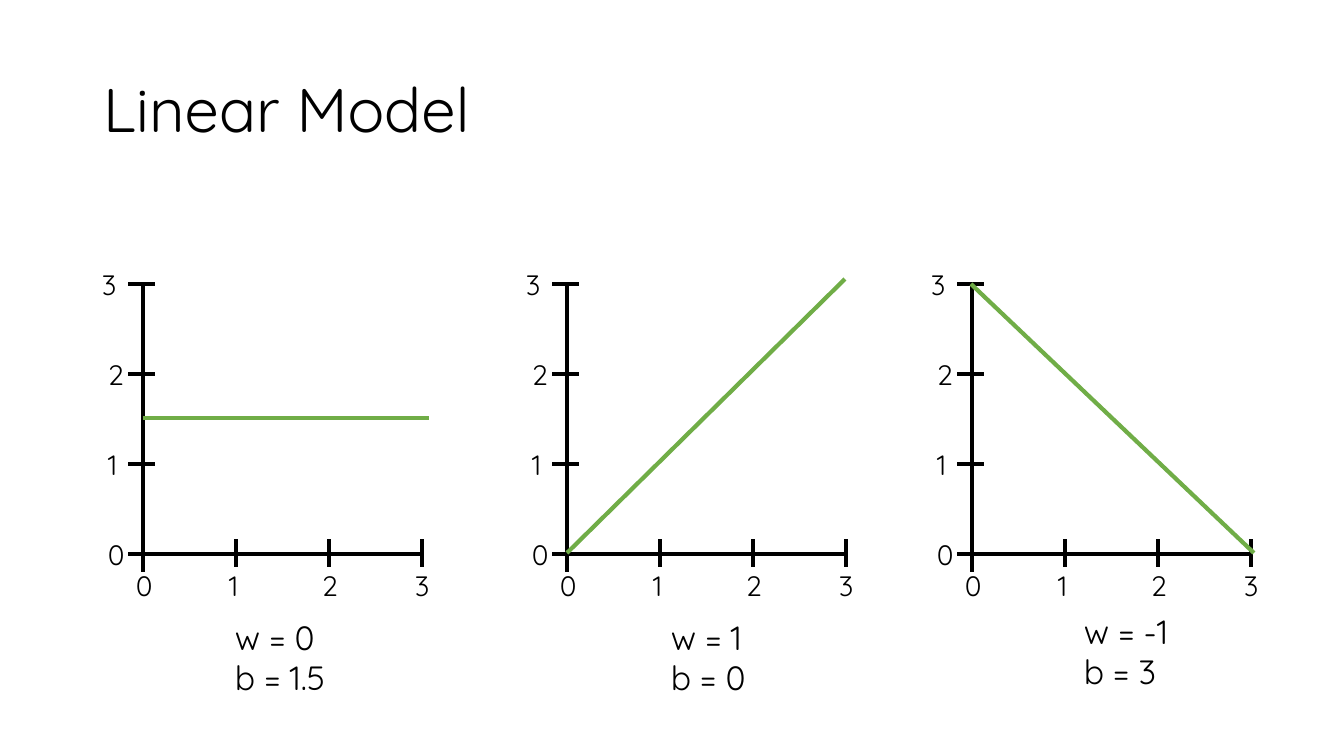
import lxml.etree
import pptx
import pptx.dml.color
import pptx.enum.shapes
import pptx.enum.text
import pptx.oxml.ns
import pptx.util

PX = 12700 * 5 / 7  # EMU in one px
COLORS = {"ink": "000000", "model": "70AD47"}
FONT = "Quicksand"
AXIS_TOP, AXIS_Y = 284, 554
STEP_X, STEP_Y = 93, 90
Y_LABEL_SHIFTS = (-45, -45, -45, -51)

# axis x, model line ends, caption box, caption lines
PLOTS = (
    (143, (143, 418, 429, 418), (225, 612, 133, 92), ("w = 0", "b = 1.5")),
    (567, (567, 553, 845, 279), (661, 612, 110, 92), ("w = 1", "b = 0")),
    (972, (971, 284, 1254, 553), (1074, 606, 117, 92), ("w = -1", "b = 3")),
)


def emu(*lengths):
    return [round(length * PX) for length in lengths]


def rgb(name):
    return pptx.dml.color.RGBColor.from_string(COLORS[name])


def set_values(target, values):
    for name, value in values.items():
        setattr(target, name, value)


def write_lines(frame, lines, size, **para_format):
    for index, text in enumerate(lines):
        para = frame.add_paragraph() if index else frame.paragraphs[0]
        para.text = text
        set_values(para, para_format)
        set_values(para.font, {"name": FONT, "size": pptx.util.Pt(size)})
        para.font.color.rgb = rgb("ink")


def add_label(shapes, place, lines, size):
    frame = shapes.add_textbox(*emu(*place)).text_frame
    write_lines(frame, lines, size)
    set_values(frame, {
        "word_wrap": False,
        "auto_size": pptx.enum.text.MSO_AUTO_SIZE.SHAPE_TO_FIT_TEXT,
    })


def add_line(shapes, ends, color):
    line = shapes.add_connector(
        pptx.enum.shapes.MSO_CONNECTOR.STRAIGHT, *emu(*ends))
    line.line.color.rgb = rgb(color)
    line.line.width = pptx.util.Pt(3)
    lxml.etree.SubElement(
        line._element.spPr, pptx.oxml.ns.qn("a:effectLst"))


def add_axes(page, axis_x):
    """Group both axes with their ticks and numbers from 0 to 3."""
    shapes = page.shapes.add_group_shape().shapes
    add_line(shapes, (axis_x, AXIS_TOP, axis_x, 572), "ink")
    add_line(shapes, (axis_x + 3 * STEP_X, AXIS_Y, axis_x - 15, AXIS_Y), "ink")
    for number, shift in enumerate(Y_LABEL_SHIFTS):
        x = axis_x + number * STEP_X
        y = AXIS_Y - number * STEP_Y
        if number:
            add_line(shapes, (axis_x + 12, y, axis_x - 15, y), "ink")
            add_line(shapes, (x, AXIS_Y + 13, x, AXIS_Y - 15), "ink")
        add_label(shapes, (x - 17, 564, 38, 44), [str(number)], 20)
        add_label(shapes, (axis_x + shift, y - 21, 38, 44), [str(number)], 20)


def add_title(page, text):
    title = page.shapes.title
    places = zip(("left", "top", "width", "height"), emu(93, 40, 1159, 146))
    set_values(title, dict(places))
    write_lines(title.text_frame, [text], 44, line_spacing=0.9,
                alignment=pptx.enum.text.PP_ALIGN.LEFT)
    set_values(title.text_frame, {
        "vertical_anchor": pptx.enum.text.MSO_ANCHOR.MIDDLE,
        "auto_size": pptx.enum.text.MSO_AUTO_SIZE.NONE,
    })


def main():
    deck = pptx.Presentation()
    deck.slide_width, deck.slide_height = emu(1344, 756)
    page = deck.slides.add_slide(deck.slide_layouts[5])
    add_title(page, "Linear Model")
    for axis_x, model_ends, caption_place, caption in PLOTS:
        add_axes(page, axis_x)
        add_label(page.shapes, caption_place, caption, 24)
        add_line(page.shapes, model_ends, "model")
    deck.save("out.pptx")


if __name__ == "__main__":
    main()
